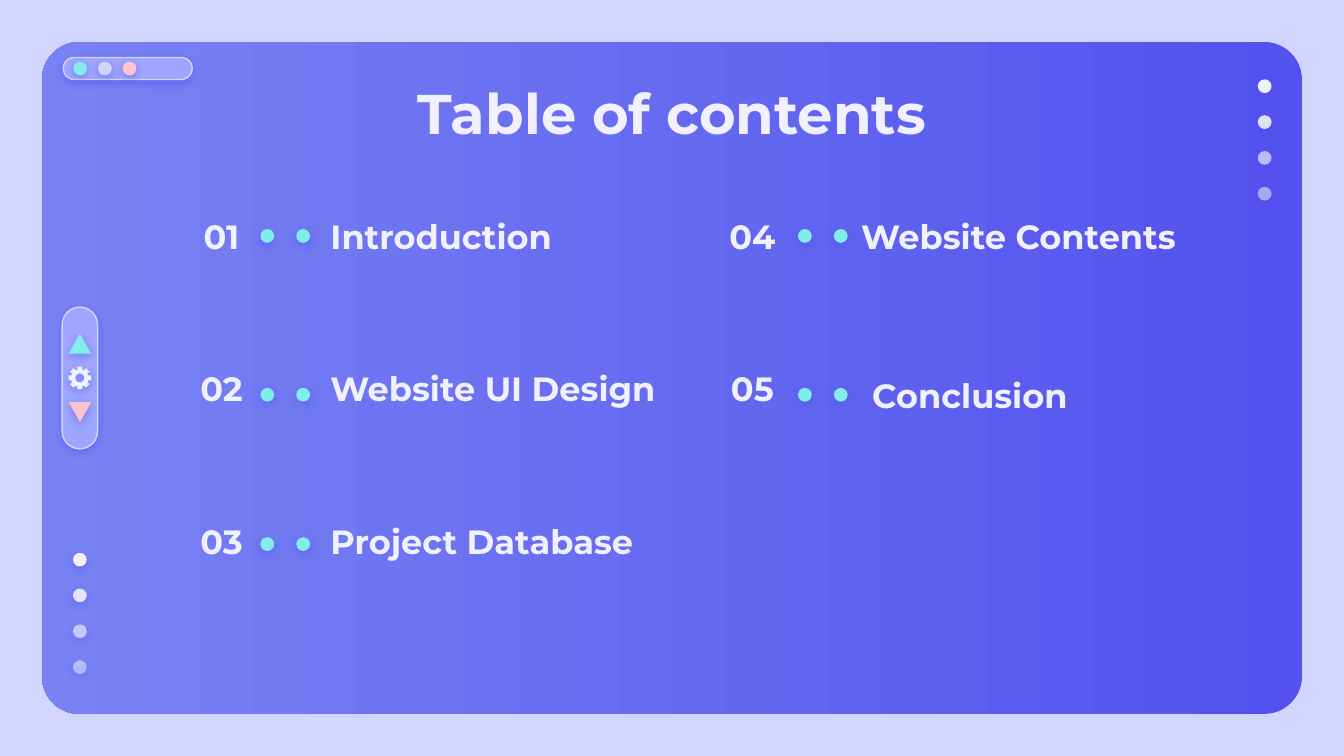
from dataclasses import dataclass
from math import cos, radians, sin

from lxml.etree import SubElement
from pptx import Presentation
from pptx.dml.color import RGBColor
from pptx.enum.shapes import MSO_SHAPE
from pptx.enum.text import MSO_ANCHOR, MSO_AUTO_SIZE, PP_ALIGN
from pptx.oxml.ns import qn
from pptx.util import Pt


@dataclass(frozen=True)
class Theme:
    font: str = "Montserrat"
    title_size: float = 30
    entry_size: float = 18
    page: str = "D2D6FF"
    deep: str = "5352EE"
    soft: str = "7882F3"
    pill: str = "9EA6FF"
    mint: str = "81EEEB"
    pink: str = "FFC3D0"
    light: str = "F1F0FF"


THEME = Theme()
DOT = 7.4
DOT_GAP = 19.2
MARGINS = dict.fromkeys(
    ("margin_left", "margin_top", "margin_right", "margin_bottom"), Pt(7.2))
ENTRIES = [
    ("01", (84.2, 116.6), (139.5, 122.7), "Introduction", (170, 116.6)),
    ("02", (84.2, 198), (139.5, 207.8), "Website UI Design", (170, 198)),
    ("03", (84.2, 280), (139.5, 287.8), "Project Database", (170, 280)),
    ("04", (368.6, 116.6), (427.5, 122.7), "Website Contents", (454.3, 116.6)),
    ("05", (368.6, 198), (427.5, 207.8), "Conclusion", (460.2, 201.8)),
]


def rgb(color):
    return RGBColor.from_string(color)


def apply(obj, values):
    for name, value in values.items():
        setattr(obj, name, value)


def paint(sp, color, alpha=100):
    sp.fill.solid()
    sp.fill.fore_color.rgb = rgb(color)
    if alpha < 100:
        clr = sp.element.spPr.find(f".//{qn('a:srgbClr')}")
        SubElement(clr, qn("a:alpha"), val=str(alpha * 1000))
    sp.line.fill.background()


def add_shadow(sp):
    sp.shadow.inherit = False
    effects = sp.element.spPr.find(qn("a:effectLst"))
    outer = SubElement(effects, qn("a:outerShdw"), blurRad=str(Pt(4.5)),
                       dist=str(Pt(1.5)), dir="5400000", algn="bl", rotWithShape="0")
    clr = SubElement(outer, qn("a:srgbClr"), val=THEME.deep)
    SubElement(clr, qn("a:alpha"), val="50000")


def add_glowing(s, kind, box, color, alpha=100):
    sp = s.shapes.add_shape(kind, *map(Pt, box))
    paint(sp, color, alpha)
    add_shadow(sp)
    return sp


def add_dots(s, x, y, fills, dx=0, dy=0):
    for i, (color, alpha) in enumerate(fills):
        add_glowing(s, MSO_SHAPE.OVAL, (x + i * dx, y + i * dy, DOT, DOT), color, alpha)


def add_pill(s, *box):
    sp = add_glowing(s, MSO_SHAPE.ROUNDED_RECTANGLE, box, THEME.pill)
    sp.adjustments[0] = 0.5
    sp.line.color.rgb = rgb(THEME.page)
    sp.line.width = Pt(0.75)


def add_card(s):
    sp = s.shapes.add_shape(MSO_SHAPE.ROUNDED_RECTANGLE, *map(Pt, (22.5, 22.5, 675, 360)))
    sp.adjustments[0] = 0.056
    sp.fill.gradient()
    sp.fill.gradient_angle = 180
    for stop, color in zip(sp.fill.gradient_stops, (THEME.deep, THEME.soft)):
        stop.color.rgb = rgb(color)
    sp.line.fill.background()
    sp.shadow.inherit = False
    return sp


def add_gear(s, cx, cy):
    def point(r, deg):
        return Pt(cx + r * cos(radians(deg))), Pt(cy + r * sin(radians(deg)))

    tooth = [(4.8, -14), (6.2, -13), (6.2, 13), (4.8, 14)]
    rim = [point(r, a + step) for a in range(0, 360, 45) for r, step in tooth]
    hole = [point(2.4, a) for a in range(360, 0, -15)]
    fb = s.shapes.build_freeform(*rim[0], scale=1.0)
    fb.add_line_segments(rim[1:], close=True)
    fb.move_to(*hole[0])
    fb.add_line_segments(hole[1:], close=True)
    sp = fb.convert_to_shape()
    paint(sp, THEME.light)
    add_shadow(sp)


def write(sp, text, size, align, anchor):
    tf = sp.text_frame
    apply(tf, {**MARGINS, "word_wrap": True, "auto_size": MSO_AUTO_SIZE.NONE,
               "vertical_anchor": anchor})
    p = tf.paragraphs[0]
    p.alignment = align
    r = p.add_run()
    r.text = text
    apply(r.font, {"name": THEME.font, "size": Pt(size), "bold": True})
    r.font.color.rgb = rgb(THEME.light)


def add_label(s, text, pos, width, align):
    sp = s.shapes.add_textbox(*map(Pt, (*pos, width, 19.4)))
    write(sp, text, THEME.entry_size, align, MSO_ANCHOR.MIDDLE)


def add_entry(s, number, number_pos, dots_pos, label, label_pos):
    add_label(s, number, number_pos, 69, PP_ALIGN.CENTER)
    add_dots(s, *dots_pos, [(THEME.mint, 100)] * 2, dx=DOT_GAP)
    add_label(s, label, label_pos, 199, PP_ALIGN.LEFT)


def add_title(s, card):
    sp = s.shapes.title
    apply(sp, {"left": Pt(56.7), "top": Pt(35.1), "width": Pt(606.6), "height": Pt(45.1)})
    write(sp, "Table of contents", THEME.title_size, PP_ALIGN.CENTER, MSO_ANCHOR.TOP)
    card.element.addnext(sp.element)


def add_scroller(s):
    add_pill(s, 33.3, 164.5, 19, 76)
    add_glowing(s, MSO_SHAPE.ISOSCELES_TRIANGLE, (36.8, 178.8, 12, 10.6), THEME.mint)
    down = add_glowing(s, MSO_SHAPE.ISOSCELES_TRIANGLE, (36.8, 215.5, 12, 10.6), THEME.pink)
    down.rotation = 180
    add_gear(s, 42.8, 202.5)


def main():
    prs = Presentation()
    prs.slide_width, prs.slide_height = Pt(720), Pt(405)
    s = prs.slides.add_slide(prs.slide_layouts[5])
    s.background.fill.solid()
    s.background.fill.fore_color.rgb = rgb(THEME.page)

    card = add_card(s)
    add_title(s, card)
    add_pill(s, 33.9, 30.8, 69.1, 11.8)
    add_dots(s, 39.3, 33, [(c, 100) for c in (THEME.mint, THEME.page, THEME.pink)], dx=13.2)
    fading = [(THEME.light, alpha) for alpha in (100, 90, 67, 54)]
    for x, y in ((673.8, 42.5), (39.1, 296.1)):
        add_dots(s, x, y, fading, dy=DOT_GAP)
    for entry in ENTRIES:
        add_entry(s, *entry)
    add_scroller(s)
    prs.save("out.pptx")


if __name__ == "__main__":
    main()
